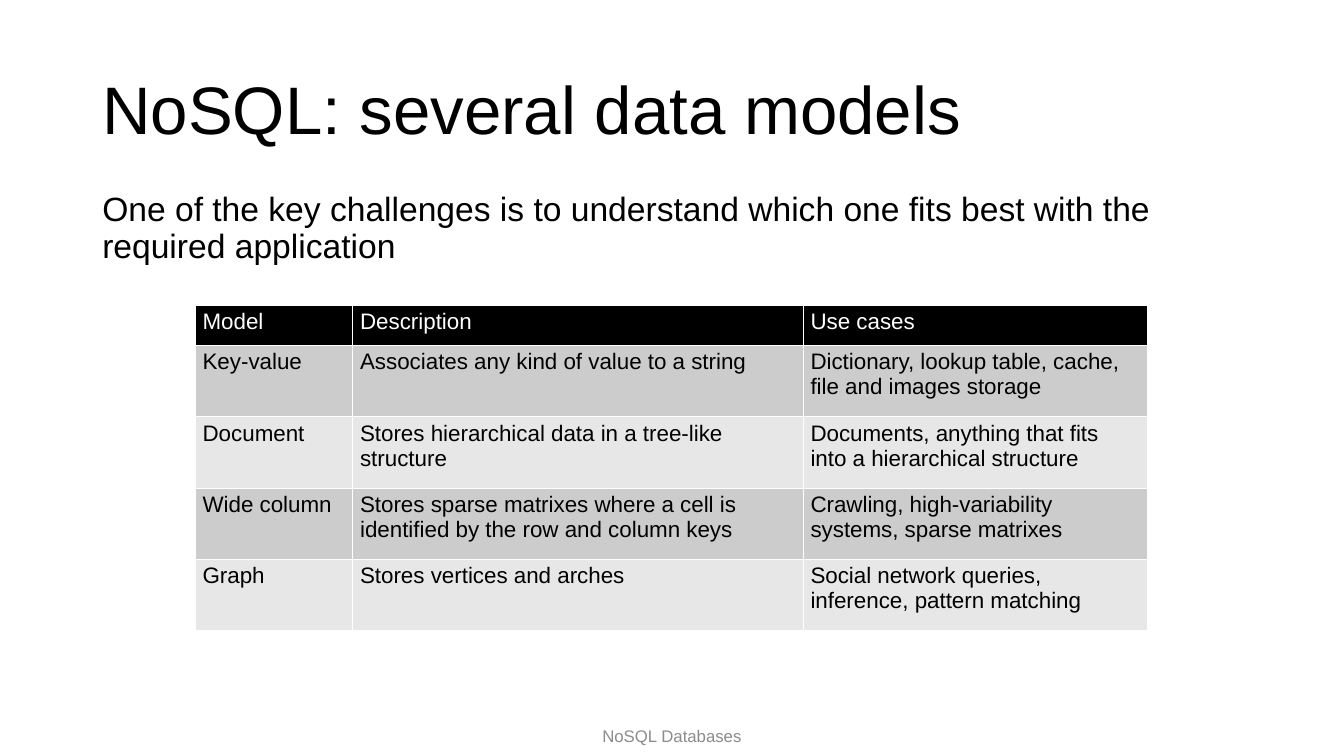
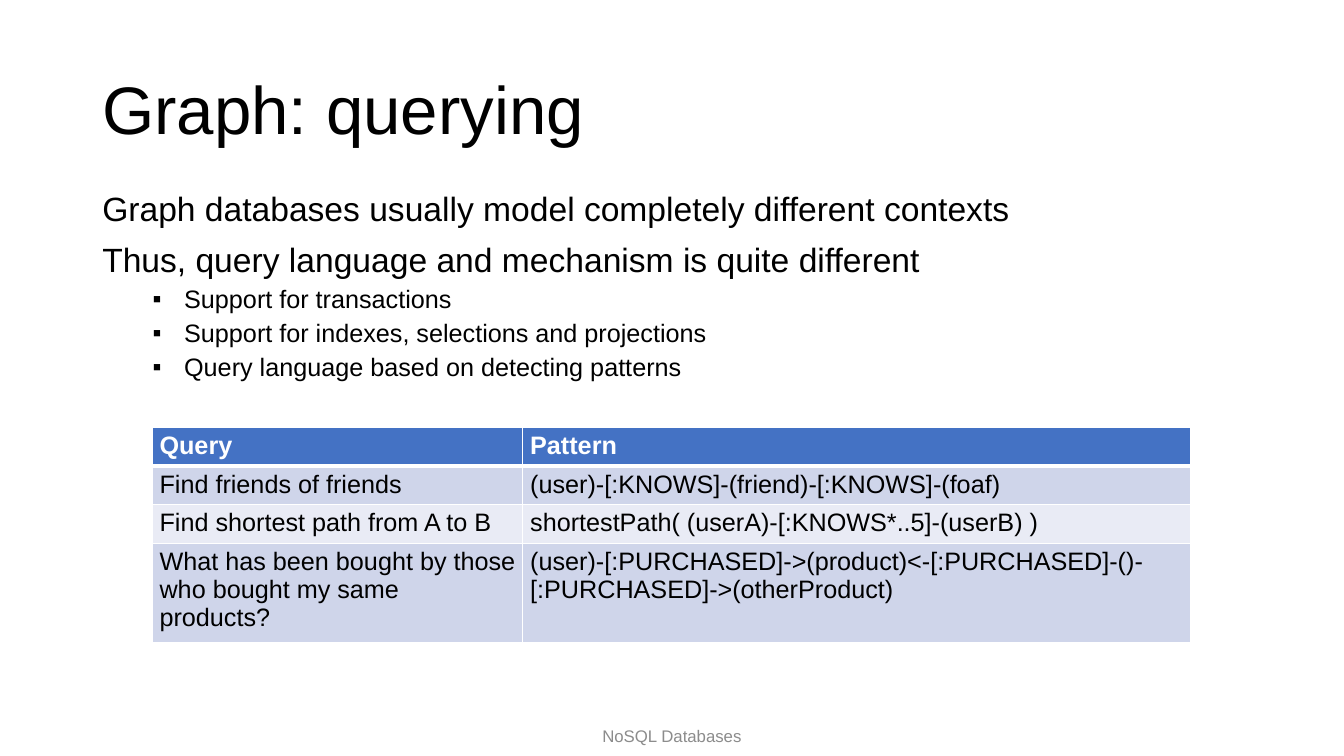
from dataclasses import dataclass

from lxml import etree
from pptx import Presentation
from pptx.dml.color import RGBColor
from pptx.enum.text import MSO_ANCHOR, PP_ALIGN
from pptx.oxml.ns import qn
from pptx.util import Pt

PX = 9525
LEFT, CENTER = PP_ALIGN.LEFT, PP_ALIGN.CENTER
TOP, MIDDLE = MSO_ANCHOR.TOP, MSO_ANCHOR.MIDDLE


@dataclass(frozen=True)
class TableLook:
    """Colours and type of one kind of table."""
    header: str
    bands: tuple
    size: int
    bold_header: bool
    header_rule: int


@dataclass(frozen=True)
class Theme:
    """Colours and type sizes of the deck."""
    font: str = "Arial"
    ink: str = "000000"
    paper: str = "FFFFFF"
    muted: str = "8C8C8C"
    title: int = 48
    body: int = 24
    bullet: int = 18
    footer: int = 12
    mono: TableLook = TableLook("000000", ("CCCCCC", "E7E7E7"), 16, False, 1)
    blue: TableLook = TableLook("4472C4", ("CFD5EA", "E9EBF5"), 18, True, 3)


class DeckBuilder:
    """Holds the theme, the deck and the current slide."""

    def __init__(self, theme):
        """Start an empty widescreen deck."""
        self.theme = theme
        self.deck = Presentation()
        self.deck.slide_width, self.deck.slide_height = 1280 * PX, 720 * PX
        self.page = None

    def style(self, para, size, color, bold=False):
        """Format every run of a paragraph."""
        for span in para.runs:
            span.font.name = self.theme.font
            span.font.size = Pt(size)
            span.font.bold = bold
            span.font.color.rgb = RGBColor.from_string(color)

    def box(self, left, top, width, height, anchor=TOP):
        """Add a wrapping text box and return its frame."""
        frame = self.page.shapes.add_textbox(
            left * PX, top * PX, width * PX, height * PX).text_frame
        frame.word_wrap = True
        frame.vertical_anchor = anchor
        return frame

    def label(self, area, text, size, color, align=LEFT, spacing=1.0):
        """Add one line of text centred vertically in its area."""
        frame = self.box(*area, anchor=MIDDLE)
        frame.text = text
        para = frame.paragraphs[0]
        para.alignment = align
        para.line_spacing = spacing
        self.style(para, size, color)

    def slide(self, title):
        """Add a slide with its title and footer."""
        theme = self.theme
        self.page = self.deck.slides.add_slide(self.deck.slide_layouts[6])
        self.label((460, 682, 360, 38), "NoSQL Databases",
                   theme.footer, theme.muted, CENTER)
        self.label((88, 38, 1104, 139), title, theme.title, theme.ink, spacing=0.9)

    def body(self, statements, bullets=()):
        """Add the statements, followed by indented bullets."""
        theme = self.theme
        frame = self.box(88, 179, 1104, 457)
        items = [(text, False) for text in statements]
        items += [(text, True) for text in bullets]
        for index, (text, bulleted) in enumerate(items):
            para = frame.add_paragraph() if index else frame.paragraphs[0]
            para.text = text
            para.line_spacing = 0.9
            if index:
                para.space_before = Pt(5 if bulleted else 10)
            if bulleted:
                self.bullet(para)
            self.style(para, theme.bullet if bulleted else theme.body, theme.ink)

    def bullet(self, para):
        """Give a paragraph a square bullet and a hanging indent."""
        para.level = 1
        properties = para._p.get_or_add_pPr()
        properties.set("marL", str(78 * PX))
        properties.set("indent", str(-30 * PX))
        etree.SubElement(properties, qn("a:buFont"), typeface=self.theme.font)
        etree.SubElement(properties, qn("a:buChar"), char="▪")

    def borders(self, cell, top, bottom):
        """Draw the four borders of a cell, given top and bottom points."""
        properties = cell._tc.get_or_add_tcPr()
        for side, points in (("L", 1), ("R", 1), ("T", top), ("B", bottom)):
            line = etree.SubElement(properties, qn(f"a:ln{side}"), w=str(Pt(points)))
            fill = etree.SubElement(line, qn("a:solidFill"))
            etree.SubElement(fill, qn("a:srgbClr"), val=self.theme.paper)

    def table(self, left, top, widths, heights, rows, look):
        """Add a table with a header row and banded rows."""
        table = self.page.shapes.add_table(
            len(rows), len(widths), left * PX, top * PX,
            sum(widths) * PX, sum(heights) * PX).table
        for column, width in zip(table.columns, widths):
            column.width = width * PX
        for index, (row, height, texts) in enumerate(zip(table.rows, heights, rows)):
            row.height = height * PX
            is_header = index == 0
            fill = look.header if is_header else look.bands[(index - 1) % 2]
            color = self.theme.paper if is_header else self.theme.ink
            above = look.header_rule if index == 1 else 1
            below = look.header_rule if is_header else 1
            for cell, text in zip(row.cells, texts):
                cell.margin_left = cell.margin_right = 7 * PX
                cell.margin_top = cell.margin_bottom = 4 * PX
                self.borders(cell, above, below)
                cell.fill.solid()
                cell.fill.fore_color.rgb = RGBColor.from_string(fill)
                cell.text_frame.text = text
                self.style(cell.text_frame.paragraphs[0], look.size, color,
                           is_header and look.bold_header)


def main():
    """Build and save the deck."""
    theme = Theme()
    builder = DeckBuilder(theme)

    builder.slide("NoSQL: several data models")
    builder.body(["One of the key challenges is to understand which one fits best "
                  "with the required application"])
    models = [
        ("Model", "Description", "Use cases"),
        ("Key-value", "Associates any kind of value to a string",
         "Dictionary, lookup table, cache, file and images storage"),
        ("Document", "Stores hierarchical data in a tree-like structure",
         "Documents, anything that fits into a hierarchical structure"),
        ("Wide column",
         "Stores sparse matrixes where a cell is identified by the row and column keys",
         "Crawling, high-variability systems, sparse matrixes"),
        ("Graph", "Stores vertices and arches",
         "Social network queries, inference, pattern matching"),
    ]
    builder.table(186, 291, [150, 429, 328], [38] + [68] * 4, models, theme.mono)

    builder.slide("Graph: querying")
    builder.body(
        ["Graph databases usually model completely different contexts",
         "Thus, query language and mechanism is quite different"],
        ["Support for transactions",
         "Support for indexes, selections and projections",
         "Query language based on detecting patterns"])
    queries = [
        ("Query", "Pattern"),
        ("Find friends of friends", "(user)-[:KNOWS]-(friend)-[:KNOWS]-(foaf)"),
        ("Find shortest path from A to B",
         "shortestPath( (userA)-[:KNOWS*..5]-(userB) )"),
        ("What has been bought by those who bought my same products?",
         "(user)-[:PURCHASED]->(product)<-[:PURCHASED]-()-[:PURCHASED]->(otherProduct)"),
    ]
    builder.table(145, 407, [353, 636], [34] * 3 + [88], queries, theme.blue)

    builder.deck.save("out.pptx")


if __name__ == "__main__":
    main()
